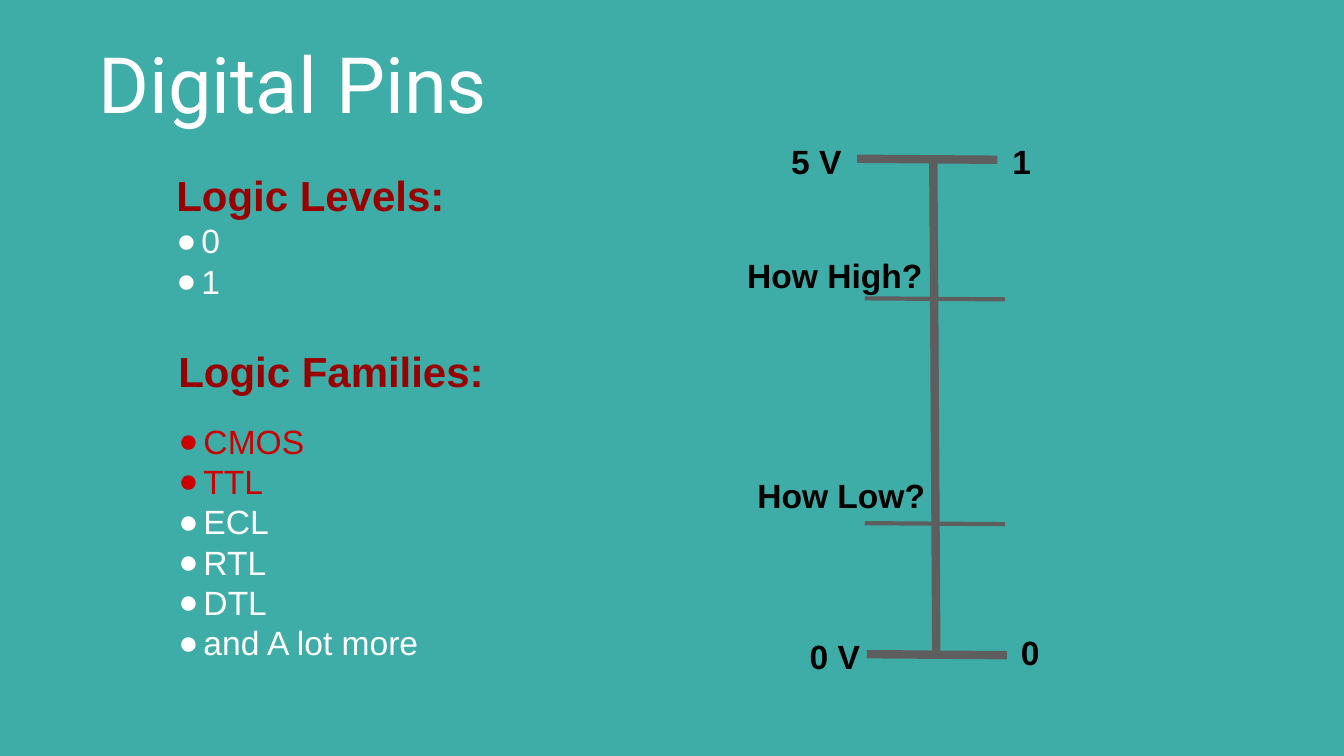
from lxml import etree
from pptx import Presentation
from pptx.dml.color import RGBColor
from pptx.enum.shapes import MSO_CONNECTOR
from pptx.enum.text import MSO_ANCHOR
from pptx.oxml.ns import qn
from pptx.util import Inches, Pt

STRAIGHT = MSO_CONNECTOR.STRAIGHT
MIDDLE = MSO_ANCHOR.MIDDLE
TOP = MSO_ANCHOR.TOP

COLORS = {
    "background": "3EADA7",
    "white": "FFFFFF",
    "heading": "990000",
    "highlight": "CC0000",
    "scale": "5E5E5E",
    "black": "000000",
}


def color(name):
    return RGBColor.from_string(COLORS[name])


def style(paragraph, size, color_name, bold=False, font_name="Arial"):
    for span in paragraph.runs:
        span.font.name = font_name
        span.font.size = Pt(size)
        span.font.bold = bold
        span.font.color.rgb = color(color_name)


def add_text(page, text, left, top, width, height=1.45, size=48,
             color_name="black", bold=True, font_name="Arial", anchor=TOP):
    box = page.shapes.add_textbox(Inches(left), Inches(top), Inches(width), Inches(height))
    frame = box.text_frame
    frame.word_wrap = True
    frame.vertical_anchor = anchor
    frame.margin_left = frame.margin_right = Inches(0.1)
    frame.margin_top = frame.margin_bottom = Inches(0.1)
    frame.text = text
    style(frame.paragraphs[0], size, color_name, bold, font_name)
    return frame


def add_bullet(paragraph, color_name):
    properties = paragraph._p.get_or_add_pPr()
    properties.set("marL", str(Inches(0.5)))
    properties.set("indent", str(Inches(-0.58)))
    bullet_color = etree.SubElement(properties, qn("a:buClr"))
    etree.SubElement(bullet_color, qn("a:srgbClr"), val=COLORS[color_name])
    etree.SubElement(properties, qn("a:buFont"), typeface="Arial")
    etree.SubElement(properties, qn("a:buChar"), char="●")


def add_list(page, heading, items, left, top, gap=0):
    frame = add_text(page, heading, left, top, 9.14, size=60, color_name="heading")
    frame.paragraphs[0].space_after = Pt(gap)
    for text, color_name in items:
        paragraph = frame.add_paragraph()
        paragraph.text = text
        add_bullet(paragraph, color_name)
        style(paragraph, 48, color_name)


def add_line(page, start_x, start_y, end_x, end_y, width):
    line = page.shapes.add_connector(
        STRAIGHT, Inches(start_x), Inches(start_y), Inches(end_x), Inches(end_y))
    line.line.color.rgb = color("scale")
    line.line.width = Pt(width)
    etree.SubElement(line._element.spPr, qn("a:effectLst"))


def main():
    deck = Presentation()
    deck.slide_width = Inches(26.67)
    deck.slide_height = Inches(15)
    page = deck.slides.add_slide(deck.slide_layouts[6])
    page.background.fill.solid()
    page.background.fill.fore_color.rgb = color("background")

    # Title
    add_text(page, "Digital Pins", 1.85, 0.39, 22.97, 2.5, size=111,
             color_name="white", bold=False, font_name="Roboto", anchor=MIDDLE)

    # Lists
    families = [(name, "highlight") for name in ("CMOS", "TTL")]
    families += [(name, "white") for name in ("ECL", "RTL", "DTL", "and A lot more")]
    add_list(page, "Logic Families:", families, 3.44, 6.76, gap=35)
    add_list(page, "Logic Levels:", [("0", "white"), ("1", "white")], 3.4, 3.27)

    # Voltage scale: axis, end bars and thresholds
    add_line(page, 18.52, 3.11, 18.58, 13.01, 12)
    for left, top, width in ((17.01, 3.15, 12), (17.2, 12.98, 12),
                             (17.16, 5.92, 6), (17.16, 10.38, 6)):
        add_line(page, left, top, left + 2.78, top + 0.02, width)

    # Scale labels
    for text, left, top, width in (
        ("5 V", 15.6, 2.69, 1.32),
        ("0 V", 15.97, 12.51, 1.53),
        ("1", 19.99, 2.69, 1.32),
        ("0", 20.16, 12.44, 1.32),
        ("How High?", 14.73, 4.95, 4.03),
        ("How Low?", 14.93, 9.33, 4.03),
    ):
        add_text(page, text, left, top, width)

    deck.save("out.pptx")


if __name__ == "__main__":
    main()
